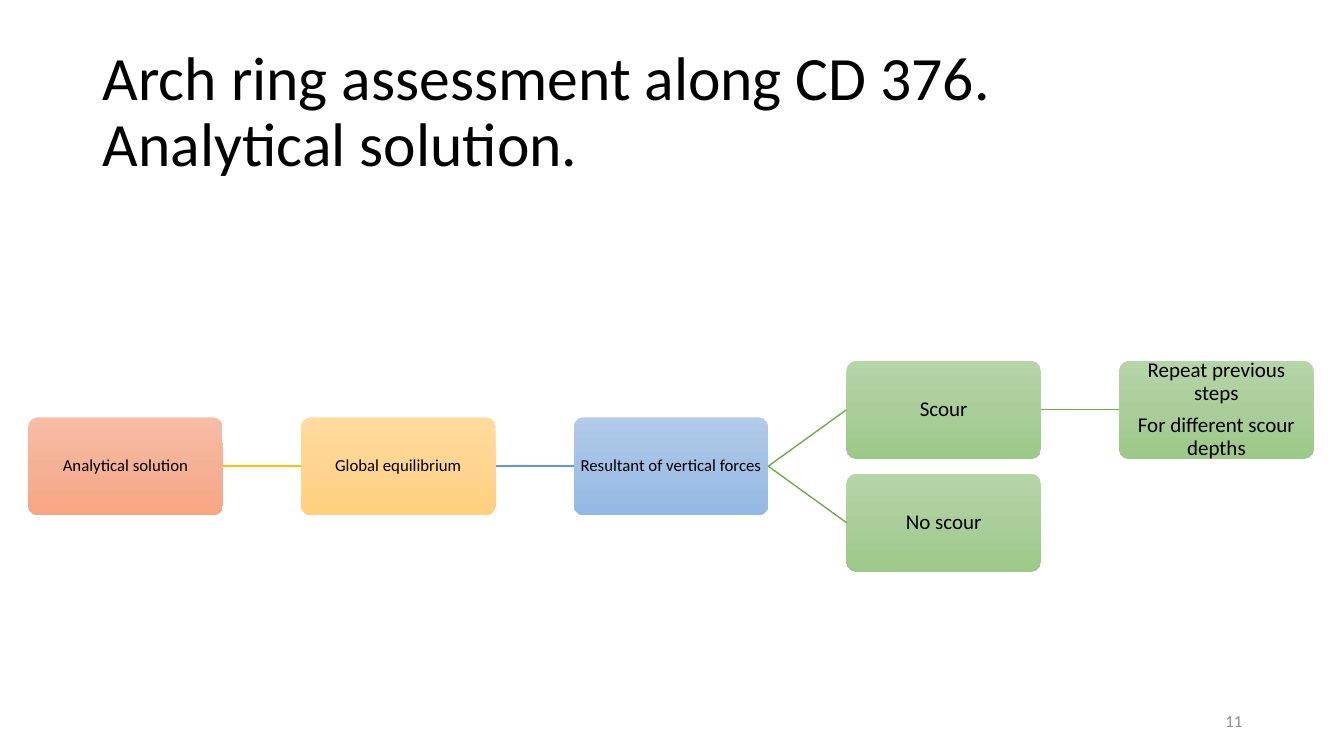
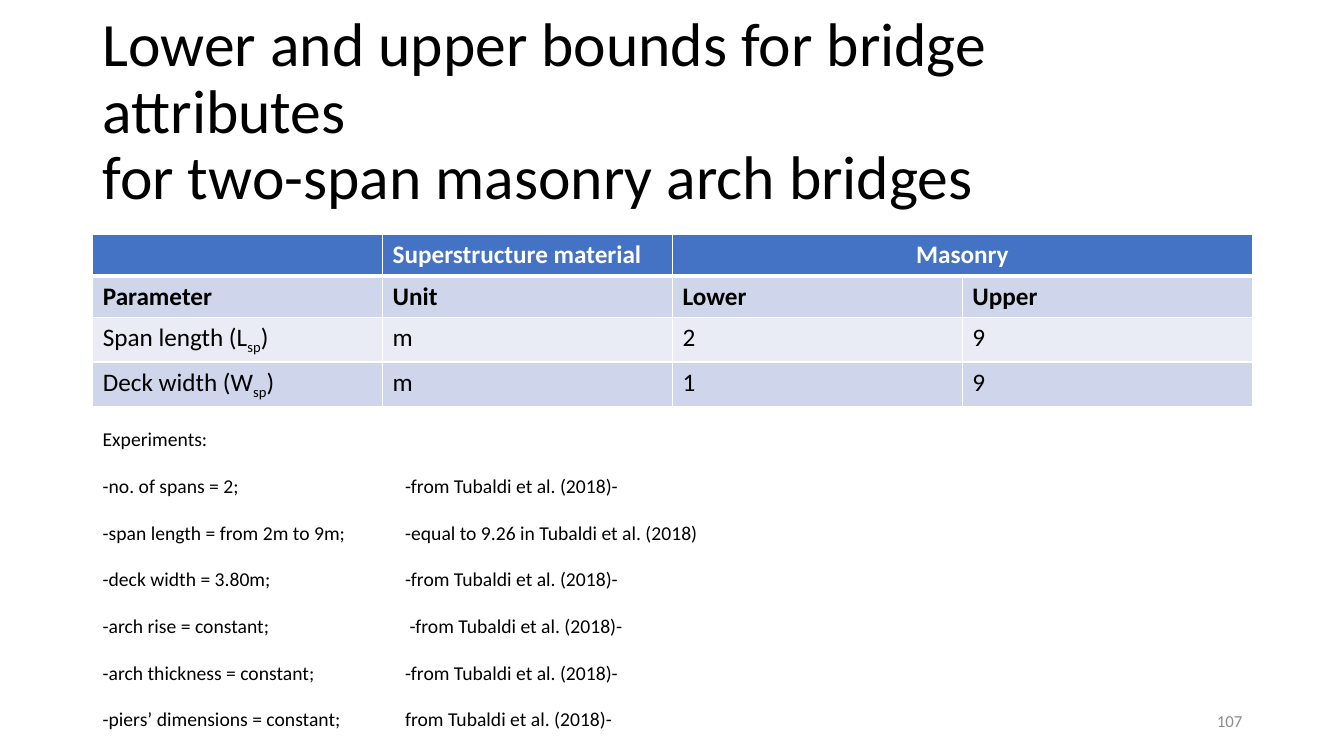
import copy

import pptx
import pptx.dml.color
import pptx.enum.shapes
import pptx.enum.text
import pptx.oxml
import pptx.oxml.ns
import pptx.util

Inches = pptx.util.Inches
Pt = pptx.util.Pt
RGBColor = pptx.dml.color.RGBColor
qn = pptx.oxml.ns.qn
ALIGN = pptx.enum.text.PP_ALIGN
MIDDLE = pptx.enum.text.MSO_ANCHOR.MIDDLE
NAMESPACE = pptx.oxml.ns.nsdecls("a")

# Colours
BLACK = RGBColor(0x00, 0x00, 0x00)
WHITE = RGBColor(0xFF, 0xFF, 0xFF)
GREY = RGBColor(0x8C, 0x8C, 0x8C)
AMBER = RGBColor(0xFF, 0xC0, 0x00)
BLUE = RGBColor(0x5B, 0x9B, 0xD5)
GREEN = RGBColor(0x70, 0xAD, 0x47)
HEADER_BLUE = RGBColor(0x44, 0x72, 0xC4)
BAND_DARK = RGBColor(0xCF, 0xD5, 0xEA)
BAND_LIGHT = RGBColor(0xE9, 0xEB, 0xF5)
ORANGE_FADE = [RGBColor(0xF7, 0xBD, 0xA5), RGBColor(0xF5, 0xB1, 0x96), RGBColor(0xF8, 0xA5, 0x82)]
AMBER_FADE = [RGBColor(0xFF, 0xDB, 0x9E), RGBColor(0xFF, 0xD5, 0x90), RGBColor(0xFF, 0xD0, 0x7C)]
BLUE_FADE = [RGBColor(0xB1, 0xCB, 0xE9), RGBColor(0xA3, 0xC1, 0xE5), RGBColor(0x93, 0xB9, 0xE4)]
GREEN_FADE = [RGBColor(0xB5, 0xD5, 0xA7), RGBColor(0xAA, 0xCE, 0x9A), RGBColor(0x9C, 0xC9, 0x87)]


def write_text(frame, paragraphs, size, colour=BLACK, bold=False, **paragraph_format):
    """Fill a frame; newlines break a line, underscores enclose a subscript."""
    frame.word_wrap = True
    for number, text in enumerate(paragraphs):
        paragraph = frame.add_paragraph() if number else frame.paragraphs[0]
        for name, value in paragraph_format.items():
            setattr(paragraph, name, value)
        for line_number, line in enumerate(text.split("\n")):
            if line_number:
                paragraph.add_line_break()
            for part_number, part in enumerate(line.split("_")):
                run = paragraph.add_run()
                run.text = part
                font_format = {"name": "Calibri", "size": Pt(size), "bold": bold}
                for name, value in font_format.items():
                    setattr(run.font, name, value)
                run.font.color.rgb = colour
                if part_number % 2:
                    run._r.get_or_add_rPr().set("baseline", "-25000")


def add_slide(title, number):
    """Add a blank slide with its title and slide number."""
    slide = presentation.slides.add_slide(presentation.slide_layouts[6])
    title_box = slide.shapes.add_textbox(Inches(0.92), Inches(0.4), Inches(11.5), Inches(1.45))
    title_box.text_frame.margin_right = Inches(0.2)
    title_box.text_frame.vertical_anchor = MIDDLE
    write_text(title_box.text_frame, [title], 44, line_spacing=0.9)
    number_box = slide.shapes.add_textbox(Inches(9.42), Inches(6.95), Inches(3), Inches(0.4))
    number_box.text_frame.vertical_anchor = MIDDLE
    write_text(number_box.text_frame, [number], 12, GREY, alignment=ALIGN.RIGHT)
    return slide


presentation = pptx.Presentation()
presentation.slide_width = Inches(13.33)
presentation.slide_height = Inches(7.5)

# Slide 1: flow of the analytical solution
slide = add_slide("Arch ring assessment along CD 376.\nAnalytical solution.", "11")

# Boxes: column, half-rows from the middle, paragraphs, text size, gradient
steps = [
    (0, 0, ["Analytical solution"], 12, ORANGE_FADE),
    (1, 0, ["Global equilibrium"], 12, AMBER_FADE),
    (2, 0, ["Resultant of vertical forces"], 12, BLUE_FADE),
    (3, -1, ["Scour"], 15, GREEN_FADE),
    (4, -1, ["Repeat previous steps", "For different scour depths"], 15, GREEN_FADE),
    (3, 1, ["No scour"], 15, GREEN_FADE),
]
COLUMN_PITCH = Inches(2.7) + Pt(0.36)
HALF_ROW = Inches(0.56)
boxes = []
for column, half_rows, paragraphs, size, fade in steps:
    box = slide.shapes.add_shape(
        pptx.enum.shapes.MSO_SHAPE.ROUNDED_RECTANGLE,
        Inches(0.28) + column * COLUMN_PITCH, Inches(4.14) + half_rows * HALF_ROW,
        Inches(1.93), Inches(0.97))
    box.adjustments[0] = 0.1
    box.shadow.inherit = False
    box.line.fill.background()
    box.fill.gradient()
    box.fill.gradient_angle = 270
    stop_list = box.element.spPr.find(".//" + qn("a:gsLst"))
    stop_list.insert(1, copy.deepcopy(stop_list[0]))
    for stop, position, colour in zip(box.fill.gradient_stops, (0, 0.5, 1), fade):
        stop.position = position
        stop.color.rgb = colour
    frame = box.text_frame
    for side in ("left", "top", "right", "bottom"):
        setattr(frame, "margin_" + side, Inches(0.03))
    frame.vertical_anchor = MIDDLE
    write_text(frame, paragraphs, size, alignment=ALIGN.CENTER,
               line_spacing=0.9, space_after=Pt(6.4))
    boxes.append(box)

# Links from the right side of one box to the left side of the next
for start, end, colour in [(0, 1, AMBER), (1, 2, BLUE), (2, 3, GREEN), (3, 4, GREEN), (2, 5, GREEN)]:
    link = slide.shapes.add_connector(pptx.enum.shapes.MSO_CONNECTOR.STRAIGHT, 0, 0, 0, 0)
    link.begin_connect(boxes[start], 3)
    link.end_connect(boxes[end], 1)
    link.line.color.rgb = colour
    link.line.width = Pt(1)
    link.element.spPr.append(pptx.oxml.parse_xml(f"<a:effectLst {NAMESPACE}/>"))

# Slide 2: bounds of the bridge attributes
slide = add_slide("Lower and upper bounds for bridge attributes\nfor two-span masonry arch bridges", "107")

# Table of bounds
rows = [
    ["", "Superstructure material", "Masonry", ""],
    ["Parameter", "Unit", "Lower", "Upper"],
    ["Span length (L_sp_)", "m", "2", "9"],
    ["Deck width (W_sp_)", "m", "1", "9"],
]
row_fills = [HEADER_BLUE, BAND_DARK, BAND_LIGHT, BAND_DARK]
table = slide.shapes.add_table(4, 4, Inches(0.92), Inches(2.33), Inches(11.5), Inches(1.64)).table
table.cell(0, 2).merge(table.cell(0, 3))
for row_number, (texts, fill) in enumerate(zip(rows, row_fills)):
    for column, text in enumerate(texts):
        cell = table.cell(row_number, column)
        properties = cell._tc.get_or_add_tcPr()
        for edge in ("L", "R", "T", "B"):
            thick = (row_number, edge) in [(0, "B"), (1, "T")]
            properties.append(pptx.oxml.parse_xml(
                f'<a:ln{edge} {NAMESPACE} w="{Pt(3 if thick else 1)}">'
                f'<a:solidFill><a:srgbClr val="{WHITE}"/></a:solidFill></a:ln{edge}>'))
        cell.fill.solid()
        cell.fill.fore_color.rgb = fill
        if text:
            write_text(cell.text_frame, [text], 18, BLACK if row_number else WHITE, row_number < 2,
                       alignment=ALIGN.CENTER if text == "Masonry" else ALIGN.LEFT)

# Notes on the experiments, sources aligned at one tab stop
experiments = [
    "Experiments:",
    "-no. of spans = 2;\t-from Tubaldi et al. (2018)-",
    "-span length = from 2m to 9m;\t-equal to 9.26 in Tubaldi et al. (2018)",
    "-deck width = 3.80m;\t-from Tubaldi et al. (2018)-",
    "-arch rise = constant;\t -from Tubaldi et al. (2018)-",
    "-arch thickness = constant;\t-from Tubaldi et al. (2018)-",
    "-piers’ dimensions = constant;\tfrom Tubaldi et al. (2018)-",
]
experiment_box = slide.shapes.add_textbox(Inches(0.92), Inches(4.19), Inches(11.3), Inches(3.16))
write_text(experiment_box.text_frame, experiments, 14)
for number, paragraph in enumerate(experiment_box.text_frame.paragraphs):
    paragraph._p.get_or_add_pPr().append(pptx.oxml.parse_xml(
        f'<a:tabLst {NAMESPACE}><a:tab pos="{Inches(3)}" algn="l"/></a:tabLst>'))
    paragraph.space_before = Pt(16.5 if number else 0)

presentation.save("out.pptx")
